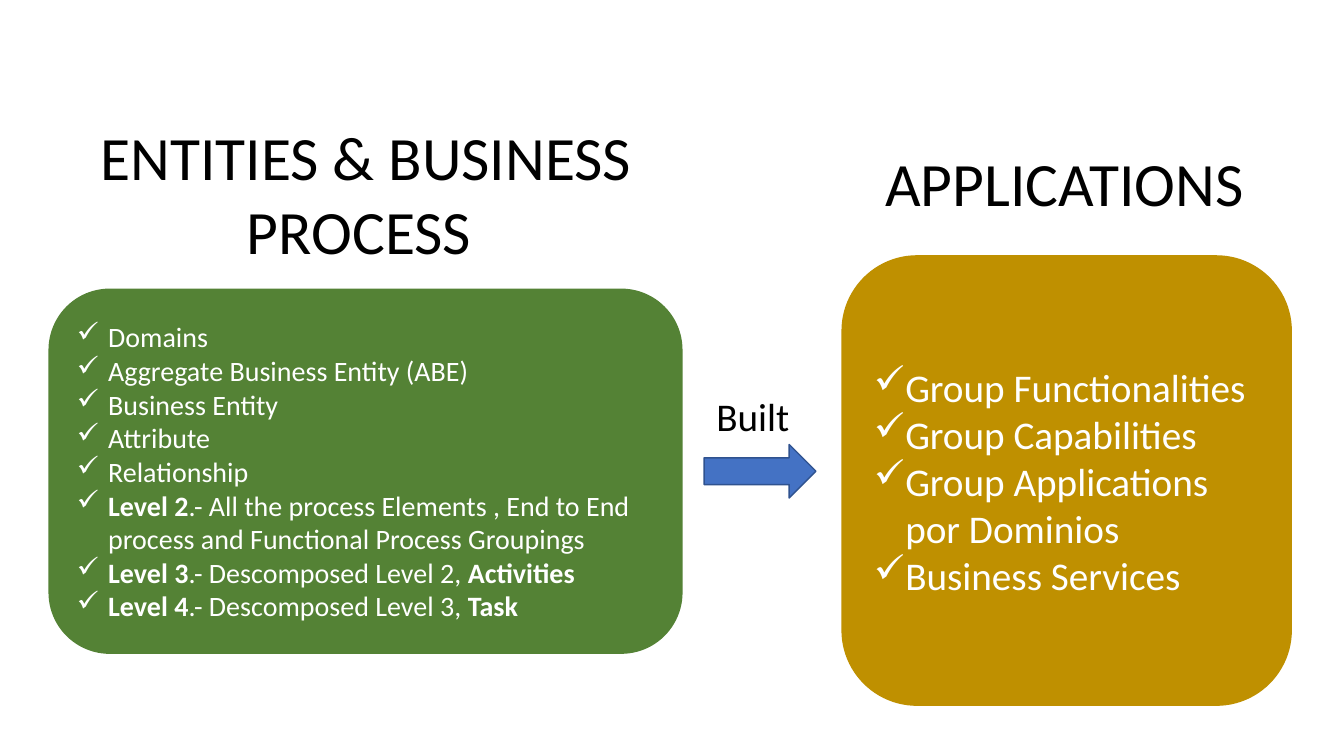
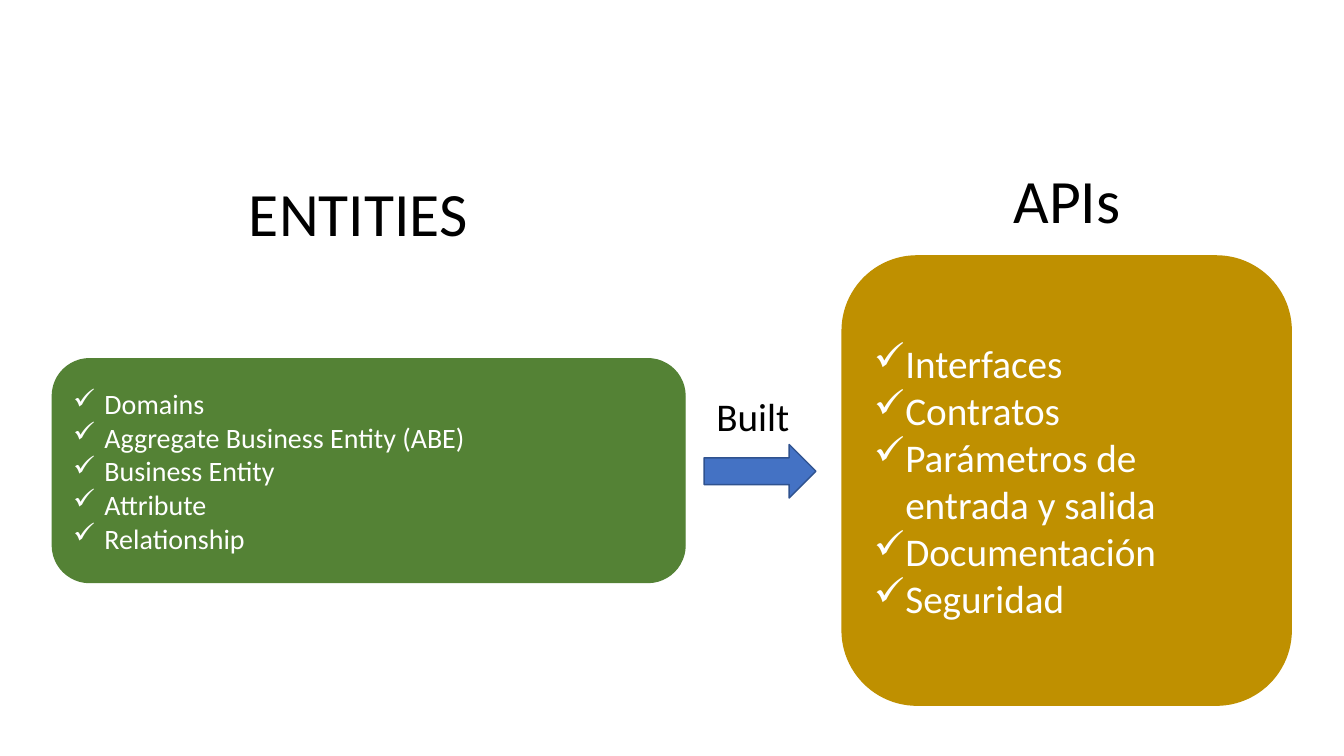
import pptx
import pptx.dml.color
import pptx.enum.shapes
import pptx.enum.text
import pptx.oxml
import pptx.oxml.ns
import pptx.util
from pptx.util import Cm

GREEN = pptx.dml.color.RGBColor(0x54, 0x82, 0x35)
GOLD = pptx.dml.color.RGBColor(0xBF, 0x90, 0x00)
BLUE = pptx.dml.color.RGBColor(0x44, 0x72, 0xC4)
DARK_BLUE = pptx.dml.color.RGBColor(0x2F, 0x52, 0x8F)
WHITE = pptx.dml.color.RGBColor(0xFF, 0xFF, 0xFF)
BLACK = pptx.dml.color.RGBColor(0x00, 0x00, 0x00)

SHAPES = pptx.enum.shapes.MSO_SHAPE
CENTER = pptx.enum.text.PP_ALIGN.CENTER
LEFT = pptx.enum.text.PP_ALIGN.LEFT

ENTITY_ITEMS = [
    "Domains",
    "Aggregate Business Entity (ABE)",
    "Business Entity",
    "Attribute",
    "Relationship",
]
LEVEL_ITEMS = [
    "**Level 2**.- All the process Elements , End to End process"
    " and Functional Process Groupings",
    "**Level 3**.- Descomposed Level 2, **Activities**",
    "**Level 4**.- Descomposed Level 3, **Task**",
]
APPLICATION_ITEMS = [
    "Group Functionalities",
    "Group Capabilities",
    "Group Applications por Dominios",
    "Business Services",
]
API_ITEMS = [
    "Interfaces",
    "Contratos",
    "Parámetros de entrada y salida",
    "Documentación",
    "Seguridad",
]


class Deck:
    FONT = "Calibri"
    TITLE_SIZE = 44
    LARGE_SIZE = 28
    SMALL_SIZE = 20
    BULLET_INDENT = Cm(0.79)

    def __init__(self):
        self.presentation = pptx.Presentation()
        self.presentation.slide_width = Cm(33.88)
        self.presentation.slide_height = Cm(19.05)
        self.slide = None

    def new_slide(self):
        self.slide = self.presentation.slides.add_slide(
            self.presentation.slide_layouts[6])

    def shape(self, kind, box, fill, line):
        shape = self.slide.shapes.add_shape(kind, *map(Cm, box))
        shape.shadow.inherit = False
        shape.fill.solid()
        shape.fill.fore_color.rgb = fill
        shape.line.color.rgb = line
        shape.line.width = pptx.util.Pt(1)
        return shape

    def set_lines(self, frame, lines, size, color, alignment):
        """Fill a text frame, one paragraph a line; **...** marks bold."""
        for index, line in enumerate(lines):
            paragraph = frame.paragraphs[0] if index == 0 else frame.add_paragraph()
            paragraph.alignment = alignment
            paragraph.font.name = self.FONT
            paragraph.font.size = pptx.util.Pt(size)
            paragraph.font.color.rgb = color
            for position, part in enumerate(line.split("**")):
                if part:
                    run = paragraph.add_run()
                    run.text = part
                    if position % 2:
                        run.font.bold = True

    def add_check_mark(self, paragraph):
        properties = paragraph._p.get_or_add_pPr()
        properties.set("marL", str(self.BULLET_INDENT))
        properties.set("indent", str(-self.BULLET_INDENT))
        namespace = pptx.oxml.ns.nsdecls("a")
        bullet_color = pptx.oxml.parse_xml(
            f'<a:buClr {namespace}><a:srgbClr val="{WHITE}"/></a:buClr>')
        bullet = pptx.oxml.parse_xml(f'<a:buChar {namespace} char="✓"/>')
        properties.insert(0, bullet_color)
        properties.insert(1, bullet)

    def checklist(self, box, color, items, size):
        panel = self.shape(SHAPES.ROUNDED_RECTANGLE, box, color, color)
        frame = panel.text_frame
        frame.word_wrap = True
        frame.vertical_anchor = pptx.enum.text.MSO_ANCHOR.MIDDLE
        self.set_lines(frame, items, size, WHITE, LEFT)
        for paragraph in frame.paragraphs:
            self.add_check_mark(paragraph)

    def label(self, box, lines, size, alignment=LEFT):
        frame = self.slide.shapes.add_textbox(*map(Cm, box)).text_frame
        frame.word_wrap = False
        frame.auto_size = pptx.enum.text.MSO_AUTO_SIZE.SHAPE_TO_FIT_TEXT
        self.set_lines(frame, lines, size, BLACK, alignment)

    def built_arrow(self):
        self.shape(SHAPES.RIGHT_ARROW, (17.75, 11.2, 2.82, 1.35), BLUE, DARK_BLUE)
        self.label((17.81, 9.75, 2.34, 1.44), ["Built"], self.LARGE_SIZE)

    def mapping_slide(self, source, target):
        """Show a green list that is built into a gold one.

        Each side is (title box, title lines, panel box, items).
        """
        self.new_slide()
        sides = (
            (source, GREEN, self.SMALL_SIZE, CENTER),
            (target, GOLD, self.LARGE_SIZE, LEFT),
        )
        for (title_box, title, panel_box, items), color, size, alignment in sides:
            self.checklist(panel_box, color, items, size)
            self.label(title_box, title, self.TITLE_SIZE, alignment)
        self.built_arrow()


def main():
    deck = Deck()
    target_panel = (21.23, 6.45, 11.32, 11.32)
    deck.mapping_slide(
        ((2.26, 2.87, 13.94, 3.99), ["ENTITIES & BUSINESS", "PROCESS "],
         (1.24, 7.29, 15.95, 9.17), ENTITY_ITEMS + LEVEL_ITEMS),
        ((22.07, 3.53, 9.68, 2.13), ["APPLICATIONS"],
         target_panel, APPLICATION_ITEMS),
    )
    deck.mapping_slide(
        ((6.02, 4.29, 6.38, 2.13), ["ENTITIES "],
         (1.32, 9.04, 15.95, 5.64), ENTITY_ITEMS),
        ((25.3, 3.96, 3.2, 2.13), ["APIs"],
         target_panel, API_ITEMS),
    )
    deck.presentation.save("out.pptx")


if __name__ == "__main__":
    main()
